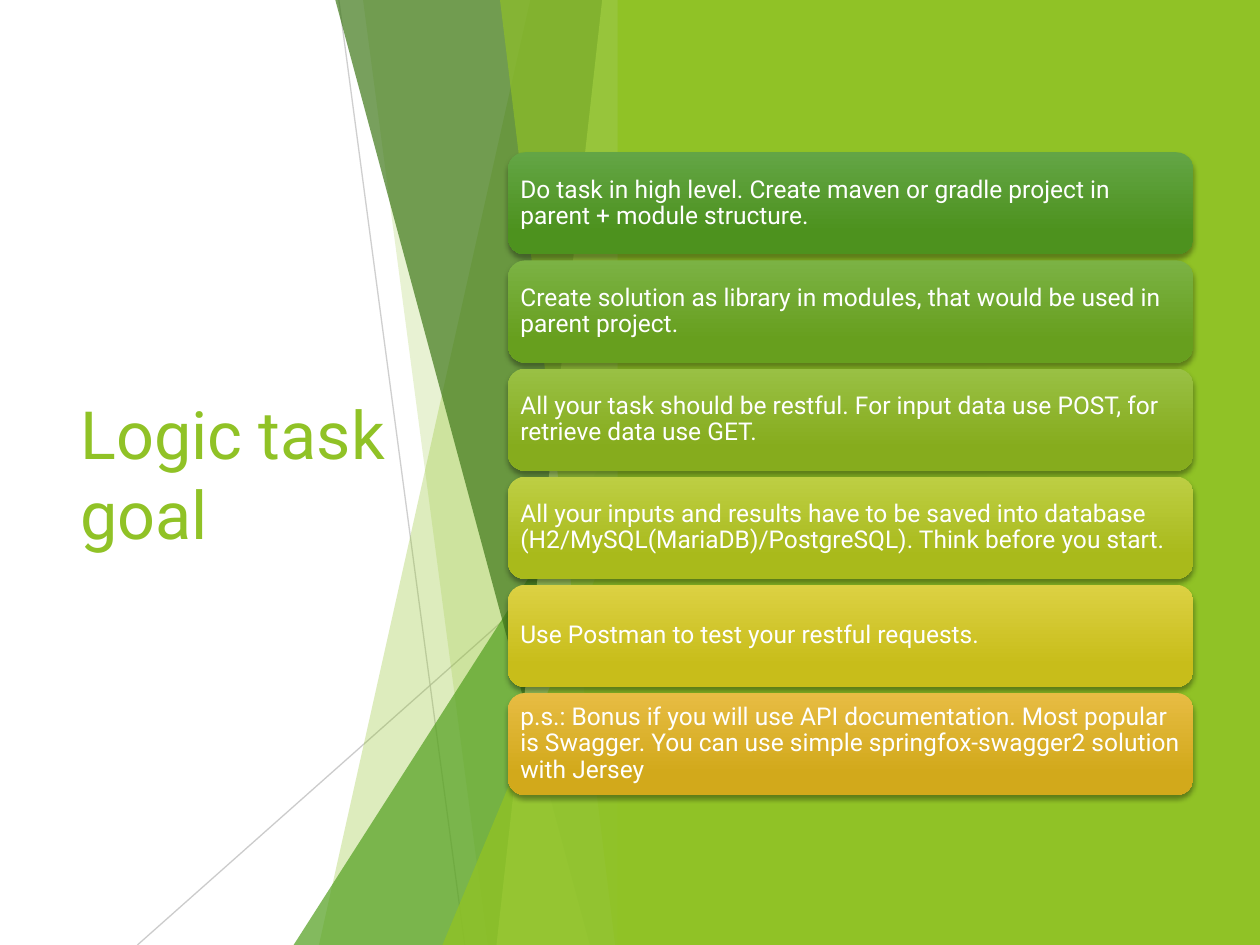
import pptx
import pptx.util
import pptx.dml.color
import pptx.enum.shapes
import pptx.enum.text
import pptx.oxml.ns
import lxml.etree

Cm = pptx.util.Cm
Pt = pptx.util.Pt
RGB = pptx.dml.color.RGBColor
SHAPE = pptx.enum.shapes.MSO_SHAPE
MIDDLE = pptx.enum.text.MSO_ANCHOR.MIDDLE
qn = pptx.oxml.ns.qn

LIME = RGB(0x90, 0xC2, 0x26)
GREEN = RGB(0x54, 0xA0, 0x21)
DARK = RGB(0x3F, 0x78, 0x19)
PALE = RGB(0xC0, 0xE4, 0x74)
GRAY = RGB(0xBF, 0xBF, 0xBF)
WHITE = RGB(0xFF, 0xFF, 0xFF)
FONT = "Roboto"

TITLE = "Logic task goal"
# Text, top colour and bottom colour of each card
CARDS = [
    ("Do task in high level. Create maven or gradle project in parent + module structure.",
     RGB(0x63, 0xA5, 0x45), RGB(0x4D, 0x92, 0x1E)),
    ("Create solution as library in modules, that would be used in parent project.",
     RGB(0x7B, 0xB2, 0x44), RGB(0x67, 0x9F, 0x1E)),
    ("All your task should be restful. For input data use POST, for retrieve data use GET.",
     RGB(0x99, 0xC0, 0x44), RGB(0x86, 0xAC, 0x1D)),
    ("All your inputs and results have to be saved into database "
     "(H2/MySQL(MariaDB)/PostgreSQL). Think before you start.",
     RGB(0xBD, 0xCE, 0x43), RGB(0xA9, 0xBA, 0x1B)),
    ("Use Postman to test your restful requests.",
     RGB(0xDC, 0xD1, 0x43), RGB(0xC8, 0xBD, 0x1A)),
    ("p.s.: Bonus if you will use API documentation. Most popular is Swagger. "
     "You can use simple springfox-swagger2 solution with Jersey",
     RGB(0xE7, 0xBC, 0x43), RGB(0xD2, 0xA9, 0x1B)),
]

# Sizes in cm
WIDE, HIGH = 25.4, 19.05
EDGE = 12.7           # right side shared by all facets
PANEL = 12.45         # left side of the green panel
LEFT, TOP, CARD_W, CARD_H, GAP = 10.24, 3.07, 13.82, 2.06, 0.12

# Start x, start y, end x, end y, opacity
RAYS = [(6.83, 0, 9.37, HIGH, 75), (EDGE, 10.24, 2.77, HIGH, 80)]
# Facets from back to front: a band has x at top and x at bottom,
# a peak has x at bottom and y of its tip
FACETS = [
    ("band", 10.69, 6.43, LIME, 30),
    ("band", 7.32, 9.83, LIME, 20),
    ("peak", 5.92, 8.46, GREEN, 72),
    ("band", 6.76, 11.89, DARK, 70),
    ("band", 12.14, 10.01, PALE, 70),
    ("band", 10.08, 12.4, LIME, 65),
    ("peak", 8.92, 9.98, LIME, 80),
]

prs = pptx.Presentation()
prs.slide_width, prs.slide_height = Cm(WIDE), Cm(HIGH)
slide = prs.slides.add_slide(prs.slide_layouts[6])
shapes = slide.shapes


def fade(shape, alpha):
    """Set the opacity, in percent, of the first colour of a shape."""
    tint = next(shape._element.spPr.iter(qn("a:srgbClr")))
    lxml.etree.SubElement(tint, qn("a:alpha"), val=str(alpha * 1000))


def paint(shape, color):
    shape.fill.solid()
    shape.fill.fore_color.rgb = color
    shape.line.fill.background()
    shape.shadow.inherit = False


def write(shape, text, size, color):
    frame = shape.text_frame
    frame.word_wrap = True
    frame.vertical_anchor = MIDDLE
    para = frame.paragraphs[0]
    para.text = text
    para.alignment = pptx.enum.text.PP_ALIGN.LEFT
    para.font.name, para.font.size = FONT, Pt(size)
    para.font.color.rgb = color
    return frame


# Title
box = shapes.add_textbox(Cm(1.37), Cm(3.84), Cm(7.39), Cm(11.38))
write(box, TITLE, 38, LIME)

# Thin rays
for x1, y1, x2, y2, alpha in RAYS:
    ray = shapes.add_connector(pptx.enum.shapes.MSO_CONNECTOR.STRAIGHT,
                               Cm(x1), Cm(y1), Cm(x2), Cm(y2))
    ray.line.color.rgb = GRAY
    ray.line.width = Pt(0.75)
    fade(ray, alpha)
    lxml.etree.SubElement(ray._element.spPr, qn("a:effectLst"))

# Clear facets
for kind, a, b, color, alpha in FACETS:
    if kind == "band":
        path = shapes.build_freeform(Cm(a), 0)
        path.add_line_segments([(Cm(EDGE), 0), (Cm(EDGE), Cm(HIGH)), (Cm(b), Cm(HIGH))])
        facet = path.convert_to_shape()
    else:
        facet = shapes.add_shape(SHAPE.ISOSCELES_TRIANGLE, Cm(a), Cm(b),
                                 Cm(EDGE - a), Cm(HIGH - b))
        facet.adjustments[0] = 1
    paint(facet, color)
    fade(facet, alpha)

# Green panel
panel = shapes.add_shape(SHAPE.RECTANGLE, Cm(PANEL), 0, Cm(WIDE - PANEL), Cm(HIGH))
paint(panel, LIME)

# Cards
for i, (text, light, deep) in enumerate(CARDS):
    card = shapes.add_shape(SHAPE.ROUNDED_RECTANGLE, Cm(LEFT),
                            Cm(TOP + i * (CARD_H + GAP)), Cm(CARD_W), Cm(CARD_H))
    paint(card, deep)
    card.fill.gradient()
    card.fill.gradient_angle = 270
    for stop, color, place in zip(card.fill.gradient_stops, (light, deep), (0, 0.78)):
        stop.color.rgb = color
        stop.position = place
    glow = lxml.etree.SubElement(
        card._element.spPr.find(qn("a:effectLst")), qn("a:outerShdw"),
        blurRad=str(Pt(3)), dist=str(Pt(2)), dir="5400000", rotWithShape="0")
    black = lxml.etree.SubElement(glow, qn("a:srgbClr"), val="000000")
    lxml.etree.SubElement(black, qn("a:alpha"), val="35000")
    frame = write(card, text, 14, WHITE)
    frame.margin_left = frame.margin_right = Cm(0.15)
    frame.margin_top = frame.margin_bottom = Cm(0.15)
    frame.paragraphs[0].line_spacing = 0.9

prs.save("out.pptx")
